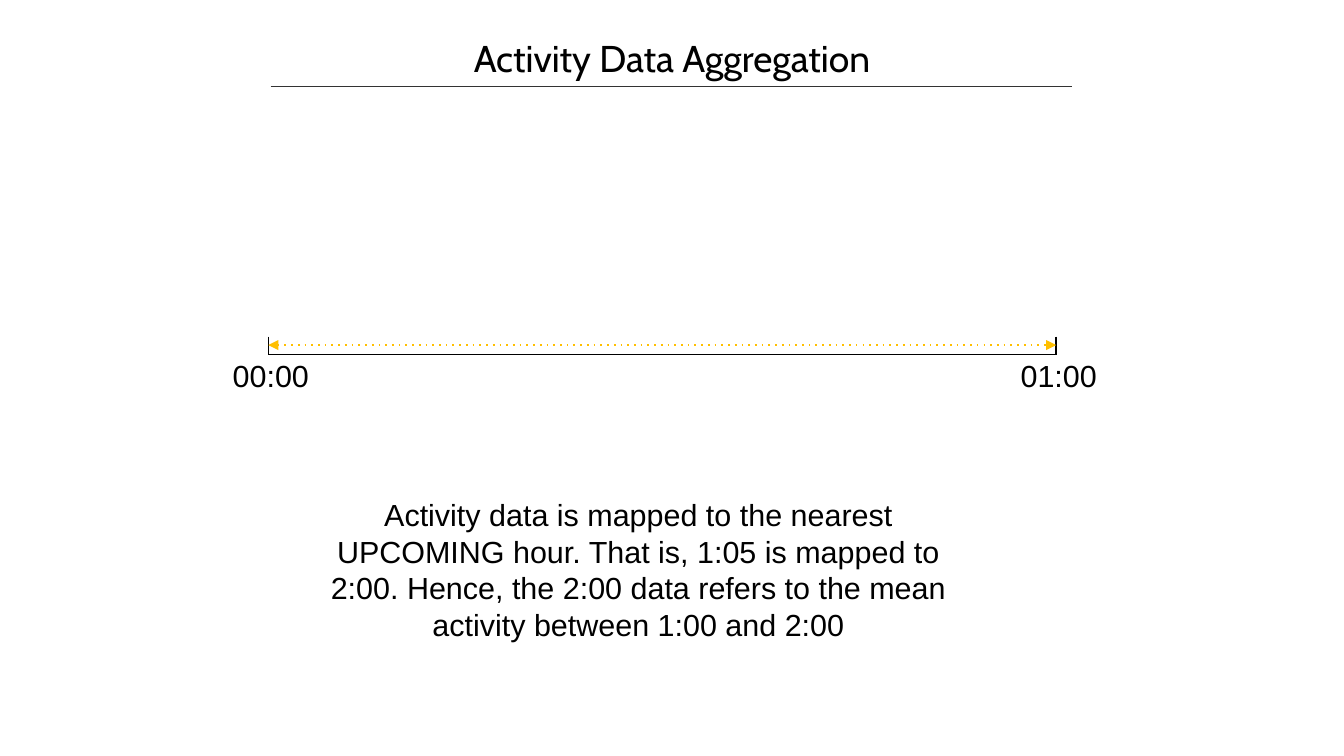
from lxml import etree
from pptx import Presentation
from pptx.dml.color import RGBColor
from pptx.enum.shapes import MSO_CONNECTOR
from pptx.enum.text import PP_ALIGN
from pptx.oxml.ns import qn
from pptx.util import Inches, Pt

STRAIGHT = MSO_CONNECTOR.STRAIGHT
LEFT, CENTER = PP_ALIGN.LEFT, PP_ALIGN.CENTER

COLORS = {"text": "000000", "rule": "333333", "axis": "000000", "span": "FFBF00"}

TITLE = "Activity Data Aggregation"
EXPLANATION = (
    "Activity data is mapped to the nearest UPCOMING hour. "
    "That is, 1:05 is mapped to 2:00. Hence, the 2:00 data refers "
    "to the mean activity between 1:00 and 2:00"
)
HOURS = [("00:00", 2.2), ("01:00", 8.66)]
TICK_TOP, AXIS_Y, SPAN_Y = 2.76, 2.91, 2.83
LABEL_OFFSET, LABEL_TOP = 0.39, 2.88
AXIS_WIDTH = 0.79


def add_text(slide, text, box, size, font_name, alignment):
    shape = slide.shapes.add_textbox(*map(Inches, box))
    shape.text_frame.word_wrap = True
    paragraph = shape.text_frame.paragraphs[0]
    paragraph.text = text
    paragraph.alignment = alignment
    paragraph.font.size = Pt(size)
    paragraph.font.name = font_name
    paragraph.font.color.rgb = RGBColor.from_string(COLORS["text"])


def add_line(slide, start, end, color, width):
    connector = slide.shapes.add_connector(STRAIGHT, *map(Inches, start + end))
    connector.line.color.rgb = RGBColor.from_string(COLORS[color])
    connector.line.width = Pt(width)
    etree.SubElement(connector._element.spPr, qn("a:effectLst"))
    return connector


def make_dotted_double_arrow(connector):
    line = connector.line._get_or_add_ln()
    etree.SubElement(line, qn("a:prstDash"), val="dot")
    for end in ("a:headEnd", "a:tailEnd"):
        etree.SubElement(line, qn(end), type="triangle")


def main():
    """Build the activity aggregation slide."""
    presentation = Presentation()
    presentation.slide_width = Inches(11.02)
    presentation.slide_height = Inches(6.2)
    slide = presentation.slides.add_slide(presentation.slide_layouts[6])

    add_text(slide, TITLE, (3.62, 0.24, 3.78, 0.93), 22, "Cabin", CENTER)
    add_line(slide, (2.22, 0.71), (8.79, 0.71), "rule", 0.5)

    first, last = HOURS[0][1], HOURS[-1][1]
    add_line(slide, (first, AXIS_Y), (last, AXIS_Y), "axis", AXIS_WIDTH)
    for label, x in HOURS:
        add_line(slide, (x, TICK_TOP), (x, AXIS_Y), "axis", AXIS_WIDTH)
        box = (x - LABEL_OFFSET, LABEL_TOP, 0.87, 0.66)
        add_text(slide, label, box, 18, "Arial", LEFT)
    span = add_line(slide, (first, SPAN_Y), (last, SPAN_Y), "span", 1)
    make_dotted_double_arrow(span)

    add_text(slide, EXPLANATION, (2.52, 4.02, 5.43, 1.22), 18, "Arial", CENTER)
    presentation.save("out.pptx")


if __name__ == "__main__":
    main()
